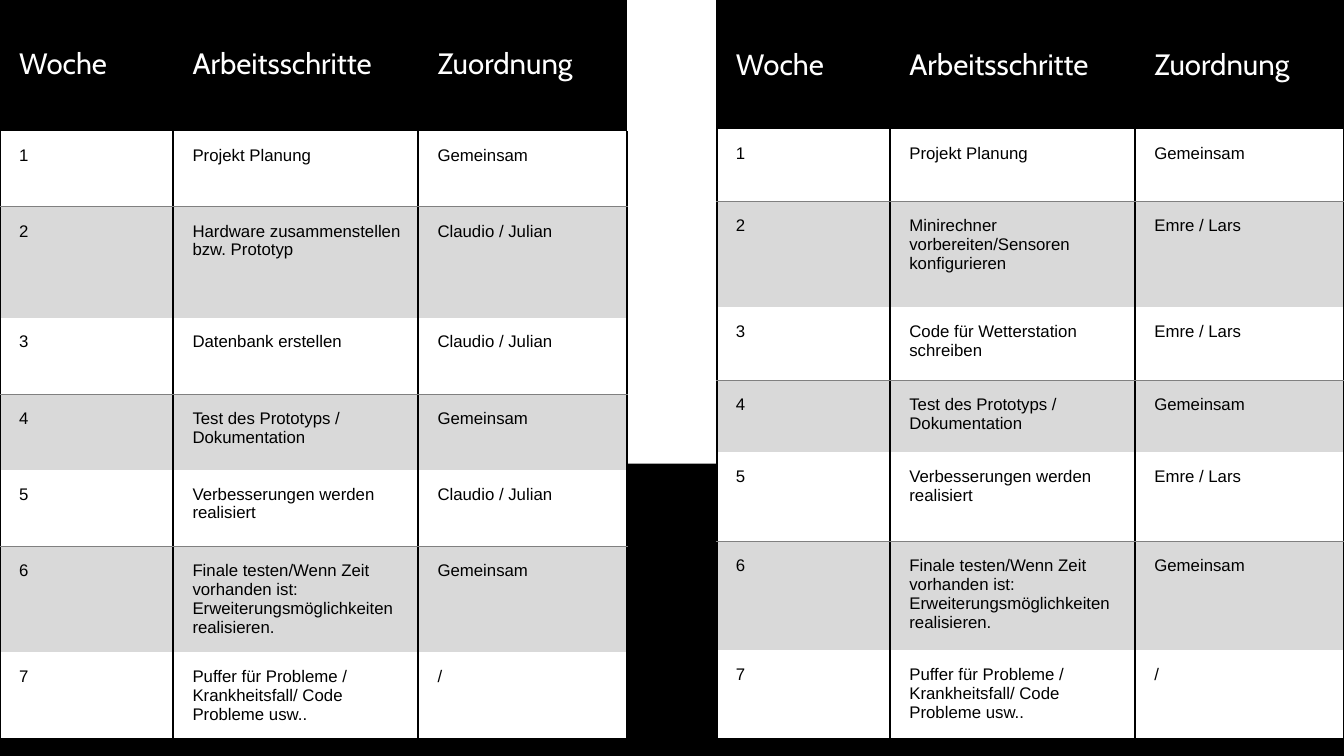
from dataclasses import dataclass

from lxml.etree import SubElement
from pptx import Presentation
from pptx.dml.color import RGBColor
from pptx.enum.shapes import MSO_SHAPE
from pptx.enum.text import MSO_ANCHOR
from pptx.oxml.ns import qn
from pptx.slide import Slide
from pptx.table import _Cell
from pptx.util import Pt

PX = 9144  # 100 px to the inch
PAGE_WIDTH, PAGE_HEIGHT = 1333, 750
COLORS = {"black": "000000", "white": "FFFFFF", "band": "D9D9D9", "rule": "808080"}
COLUMN_WIDTHS = (172, 243, 207)
HEADINGS = ("Woche", "Arbeitsschritte", "Zuordnung")


@dataclass(frozen=True)
class Panel:
    top: int
    height: int
    color: str


@dataclass(frozen=True)
class CellStyle:
    font: str
    size: int
    text: str
    fill: str
    anchor: MSO_ANCHOR
    borders: dict[str, tuple[str, float]]


@dataclass(frozen=True)
class Plan:
    left: int
    top: int
    row_heights: tuple[int, ...]
    tasks: tuple[tuple[str, str], ...]


EDGE = ("black", 1.5)
RULE = ("rule", 0.5)
SIDES = {"L": EDGE, "R": EDGE}
HEADER = CellStyle("Cabin", 21, "white", "black", MSO_ANCHOR.MIDDLE, {"L": EDGE, "T": EDGE})
PLAIN = CellStyle("Arial", 12, "black", "white", MSO_ANCHOR.TOP, {**SIDES, "B": RULE})
BANDED = CellStyle("Arial", 12, "black", "band", MSO_ANCHOR.TOP, {**SIDES, "T": RULE})
LAST = CellStyle("Arial", 12, "black", "white", MSO_ANCHOR.TOP, {**SIDES, "B": EDGE})

PANELS = (Panel(0, PAGE_HEIGHT, "white"), Panel(460, 290, "black"))

FIRST_TASK = ("Projekt Planung", "Gemeinsam")
TEST_TASK = ("Test des Prototyps / Dokumentation", "Gemeinsam")
IMPROVEMENT = "Verbesserungen werden realisiert"
CLOSING_TASKS = (
    ("Finale testen/Wenn Zeit vorhanden ist: Erweiterungsmöglichkeiten realisieren.", "Gemeinsam"),
    ("Puffer für Probleme / Krankheitsfall/ Code Probleme usw..", "/"),
)
PLANS = (
    Plan(0, -3, (133, 75, 110, 76, 75, 76, 105, 84), (
        FIRST_TASK,
        ("Hardware zusammenstellen bzw. Prototyp", "Claudio / Julian"),
        ("Datenbank erstellen", "Claudio / Julian"),
        TEST_TASK,
        (IMPROVEMENT, "Claudio / Julian"),
        *CLOSING_TASKS,
    )),
    Plan(711, 0, (128, 72, 105, 72, 72, 88, 108, 88), (
        FIRST_TASK,
        ("Minirechner vorbereiten/Sensoren konfigurieren", "Emre / Lars"),
        ("Code für Wetterstation schreiben", "Emre / Lars"),
        TEST_TASK,
        (IMPROVEMENT, "Emre / Lars"),
        *CLOSING_TASKS,
    )),
)


def rgb(name: str) -> RGBColor:
    return RGBColor.from_string(COLORS[name])


def draw_panel(page: Slide, panel: Panel) -> None:
    box = page.shapes.add_shape(
        MSO_SHAPE.RECTANGLE, 0, panel.top * PX, PAGE_WIDTH * PX, panel.height * PX
    )
    box.shadow.inherit = False
    box.fill.solid()
    box.fill.fore_color.rgb = rgb(panel.color)
    box.line.fill.background()


def set_borders(cell: _Cell, borders: dict[str, tuple[str, float]]) -> None:
    """Draw the given sides and switch off the others, before any fill is set."""
    properties = cell._tc.get_or_add_tcPr()
    for side in "LRTB":
        line = SubElement(properties, qn(f"a:ln{side}"))
        if side in borders:
            color, points = borders[side]
            line.set("w", str(Pt(points)))
            solid = SubElement(line, qn("a:solidFill"))
            SubElement(solid, qn("a:srgbClr")).set("val", COLORS[color])
        else:
            SubElement(line, qn("a:noFill"))


def write_cell(cell: _Cell, text: str, style: CellStyle) -> None:
    set_borders(cell, style.borders)
    cell.fill.solid()
    cell.fill.fore_color.rgb = rgb(style.fill)
    cell.vertical_anchor = style.anchor
    cell.margin_left = 19 * PX
    cell.margin_top = cell.margin_right = cell.margin_bottom = 15 * PX
    span = cell.text_frame.paragraphs[0].add_run()
    span.text = text
    span.font.name = style.font
    span.font.size = Pt(style.size)
    span.font.bold = False
    span.font.color.rgb = rgb(style.text)


def row_style(week: int, last_week: int) -> CellStyle:
    if week == 0:
        return HEADER
    if week == last_week:
        return LAST
    return PLAIN if week % 2 else BANDED


def draw_plan(page: Slide, plan: Plan) -> None:
    rows = [HEADINGS] + [(str(week), *task) for week, task in enumerate(plan.tasks, 1)]
    table = page.shapes.add_table(
        len(rows), len(HEADINGS), plan.left * PX, plan.top * PX,
        sum(COLUMN_WIDTHS) * PX, sum(plan.row_heights) * PX,
    ).table
    table.horz_banding = False
    for column, width in zip(table.columns, COLUMN_WIDTHS):
        column.width = width * PX
    for week, (texts, height) in enumerate(zip(rows, plan.row_heights)):
        table.rows[week].height = height * PX
        style = row_style(week, len(plan.tasks))
        for cell, text in zip(table.rows[week].cells, texts):
            write_cell(cell, text, style)


def main() -> None:
    deck = Presentation()
    deck.slide_width, deck.slide_height = PAGE_WIDTH * PX, PAGE_HEIGHT * PX
    page = deck.slides.add_slide(deck.slide_layouts[6])
    for panel in PANELS:
        draw_panel(page, panel)
    for plan in PLANS:
        draw_plan(page, plan)
    deck.save("out.pptx")


if __name__ == "__main__":
    main()
